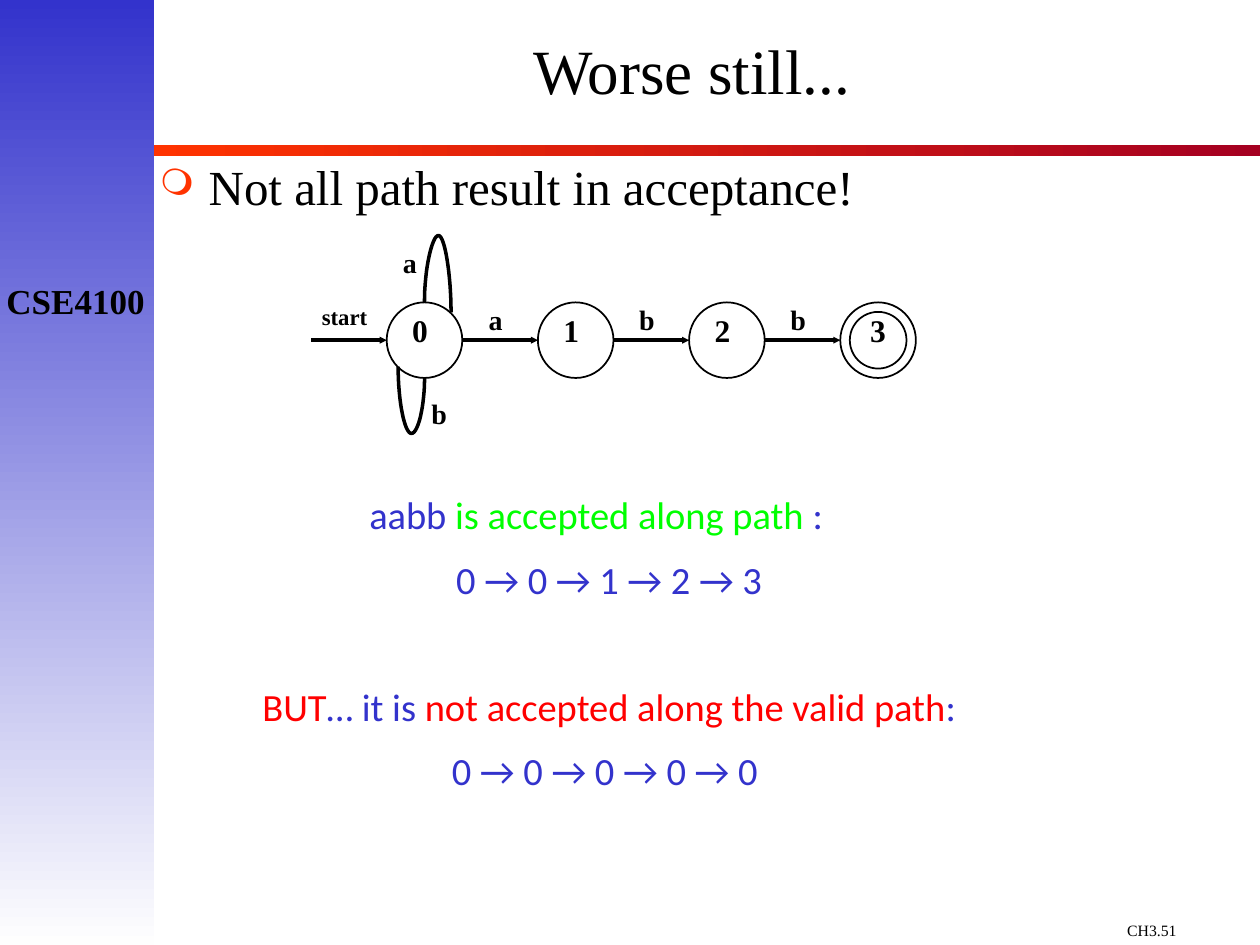
from pptx import Presentation
from pptx.dml.color import RGBColor
from pptx.enum.shapes import MSO_CONNECTOR, MSO_SHAPE
from pptx.enum.text import MSO_ANCHOR, PP_ALIGN
from pptx.oxml.ns import qn
from pptx.util import Pt
from lxml import etree

CENTER, LEFT = PP_ALIGN.CENTER, PP_ALIGN.LEFT
MIDDLE, TOP = MSO_ANCHOR.MIDDLE, MSO_ANCHOR.TOP
OVAL, RECTANGLE = MSO_SHAPE.OVAL, MSO_SHAPE.RECTANGLE
STRAIGHT = MSO_CONNECTOR.STRAIGHT

BLACK = RGBColor(0x00, 0x00, 0x00)
NEAR_WHITE = RGBColor(0xFE, 0xFE, 0xFE)
BLUE = RGBColor(0x33, 0x33, 0xCC)
GREEN = RGBColor(0x00, 0xFF, 0x00)
RED = RGBColor(0xFF, 0x00, 0x00)
ORANGE = RGBColor(0xFF, 0x33, 0x00)
CRIMSON = RGBColor(0xA5, 0x00, 0x21)


class SlideBuilder:
    serif, sans = "Times New Roman", "Calibri"

    def __init__(self, slide):
        self.slide = slide
        self.shapes = slide.shapes

    def set_font(self, paragraph, size, bold=False, name=None, color=BLACK):
        font = paragraph.font
        font.name, font.size, font.bold = name or self.serif, Pt(size), bold
        font.color.rgb = color

    def set_frame(self, frame, insets=(0, 0, 0, 0), anchor=TOP):
        frame.word_wrap = True
        frame.vertical_anchor = anchor
        (frame.margin_left, frame.margin_top,
         frame.margin_right, frame.margin_bottom) = map(Pt, insets)

    def title(self, text, box, size, insets):
        title = self.shapes.title
        title.left, title.top, title.width, title.height = map(Pt, box)
        self.set_frame(title.text_frame, insets, MIDDLE)
        title.text_frame.text = text
        paragraph = title.text_frame.paragraphs[0]
        paragraph.alignment, paragraph.line_spacing = CENTER, 0.8
        self.set_font(paragraph, size)

    def label(self, text, box, size, bold=True, align=CENTER, insets=(0, 0, 0, 0)):
        frame = self.shapes.add_textbox(*map(Pt, box)).text_frame
        self.set_frame(frame, insets)
        paragraph = frame.paragraphs[0]
        paragraph.text, paragraph.alignment = text, align
        self.set_font(paragraph, size, bold)
        return paragraph

    def bullet(self, text, box, size, insets, hang):
        paragraph = self.label(text, box, size, False, LEFT, insets)
        paragraph.line_spacing = 0.89
        properties = paragraph._p.get_or_add_pPr()
        properties.set("marL", str(Pt(hang)))
        properties.set("indent", str(-Pt(hang)))
        color = etree.SubElement(properties, qn("a:buClr"))
        etree.SubElement(color, qn("a:srgbClr"), val=str(ORANGE))
        etree.SubElement(properties, qn("a:buSzPct"), val="75000")
        etree.SubElement(properties, qn("a:buChar"), char="❍")
        # Bullet elements must come before the default run properties
        defaults = properties.find(qn("a:defRPr"))
        if defaults is not None:
            properties.append(defaults)

    def rich_text(self, lines, box, size):
        frame = self.shapes.add_textbox(*map(Pt, box)).text_frame
        self.set_frame(frame, (0, 0, 3, 0))
        for index, (space, margin, runs) in enumerate(lines):
            paragraph = frame.add_paragraph() if index else frame.paragraphs[0]
            paragraph.alignment, paragraph.space_before = CENTER, Pt(space)
            paragraph._p.get_or_add_pPr().set("marL", str(Pt(margin)))
            self.set_font(paragraph, size, name=self.sans, color=BLUE)
            for text, color in runs:
                run = paragraph.add_run()
                run.text = text
                if color != BLUE:
                    run.font.color.rgb = color

    def gradient(self, box, start, end, angle):
        panel = self.shapes.add_shape(RECTANGLE, *map(Pt, box))
        panel.shadow.inherit = False
        panel.line.fill.background()
        panel.fill.gradient()
        panel.fill.gradient_angle = angle
        for stop, color in zip(panel.fill.gradient_stops, (start, end)):
            stop.color.rgb = color

    def outline(self, shape, weight):
        shape.shadow.inherit = False
        shape.fill.background()
        shape.line.color.rgb, shape.line.width = BLACK, Pt(weight)

    def circle(self, left, top, size):
        self.outline(self.shapes.add_shape(OVAL, *map(Pt, (left, top, size, size))), 1)

    def arrow(self, start, end, y):
        arrow = self.shapes.add_connector(STRAIGHT, *map(Pt, (start, y, end, y)))
        arrow.line.color.rgb, arrow.line.width = BLACK, Pt(2)
        etree.SubElement(arrow.line._get_or_add_ln(), qn("a:tailEnd"),
                         type="triangle", w="sm", len="sm")
        etree.SubElement(arrow._element.spPr, qn("a:effectLst"))

    def loop(self, start, curves, steps=16):
        """Draw joined cubic Bezier curves as one open outline."""
        points, here = [], start
        for c1, c2, end in curves:
            for step in range(1, steps + 1):
                t = step / steps
                u = 1 - t
                points.append(tuple(
                    Pt(u**3 * p + 3 * u * u * t * q + 3 * u * t * t * r + t**3 * s)
                    for p, q, r, s in zip(here, c1, c2, end)))
            here = end
        outline = self.shapes.build_freeform(*map(Pt, start))
        outline.add_line_segments(points, close=False)
        self.outline(outline.convert_to_shape(), 2)


def main():
    deck = Presentation()
    deck.slide_width, deck.slide_height = Pt(720), Pt(540)
    builder = SlideBuilder(deck.slides.add_slide(deck.slide_layouts[5]))

    # Course frame
    builder.gradient((86.4, 82.8, 633.6, 6.4), ORANGE, CRIMSON, 0)
    builder.gradient((0, 0, 88, 540), BLUE, NEAR_WHITE, 270)
    builder.label("CH3.51", (637, 522.7, 83, 17.3), 9, False, LEFT, (7.2, 3.6, 7.2, 3.6))
    builder.label("CSE4100", (-3.6, 156.2, 93.6, 31.7), 20, insets=(0, 3.6, 0, 3.6))

    # Title and statement
    builder.title("Worse still...", (85, 0, 635, 87.8), 36, (7.2, 3.6, 21.6, 3.6))
    builder.bullet("Not all path result in acceptance!", (84.2, 90, 635.8, 419), 28,
                   (7.2, 3.6, 3.6, 3.6), 28)

    # Automaton: states in a row, joined by labelled arrows
    first, top, size, pitch = 221, 172.8, 43.2, 86.4
    axis = top + size / 2
    builder.arrow(first - size, first, axis)
    builder.label("start", (first - 48.2, top, 48.2, 21), 13)
    transitions = ["a", "b", "b"]
    for state in range(len(transitions) + 1):
        left = first + state * pitch
        is_final = state == len(transitions)
        builder.circle(left, top, size)
        if is_final:
            builder.circle(left + 5.4, top + 5.4, size - 10.8)
        else:
            builder.arrow(left + size, left + pitch, axis)
            builder.label(transitions[state], (left + 49, top, 26.6, 25), 16)
        builder.label(str(state), (left + (8.3 if is_final else 5.8), 177.8, 26.6, 27), 18)

    # Loops on state 0
    builder.loop((257.8, 178.6), [((257.8, 157), (254.2, 134.6), (250.6, 134.6)),
                                  ((247, 134.6), (242.6, 153.4), (242.6, 172.8))])
    builder.label("a", (first, 140.4, 26.6, 25), 16)
    builder.loop((227.5, 209.5), [((227.5, 229), (231.1, 247.7), (235.1, 247.7)),
                                  ((239, 247.7), (242.6, 231.8), (242.6, 216))])
    builder.label("b", (237.6, 226.8, 26.6, 25), 16)

    # Accepting and rejecting paths; margins fine-tune each line's centre
    builder.rich_text([
        (0, 3, [("aabb ", BLUE), ("is accepted along path", GREEN), (" :", BLUE)]),
        (10.4, 18, [("0 → 0 → 1 → 2 → 3", BLUE)]),
        (46.3, 18, [("BUT", RED), ("… it is ", BLUE),
                    ("not accepted along the valid path", RED), (":", BLUE)]),
        (10.4, 13, [("0 → 0 → 0 → 0 → 0", BLUE)]),
    ], (88, 280.8, 505.3, 175.7), 22)

    deck.save("out.pptx")


if __name__ == "__main__":
    main()
